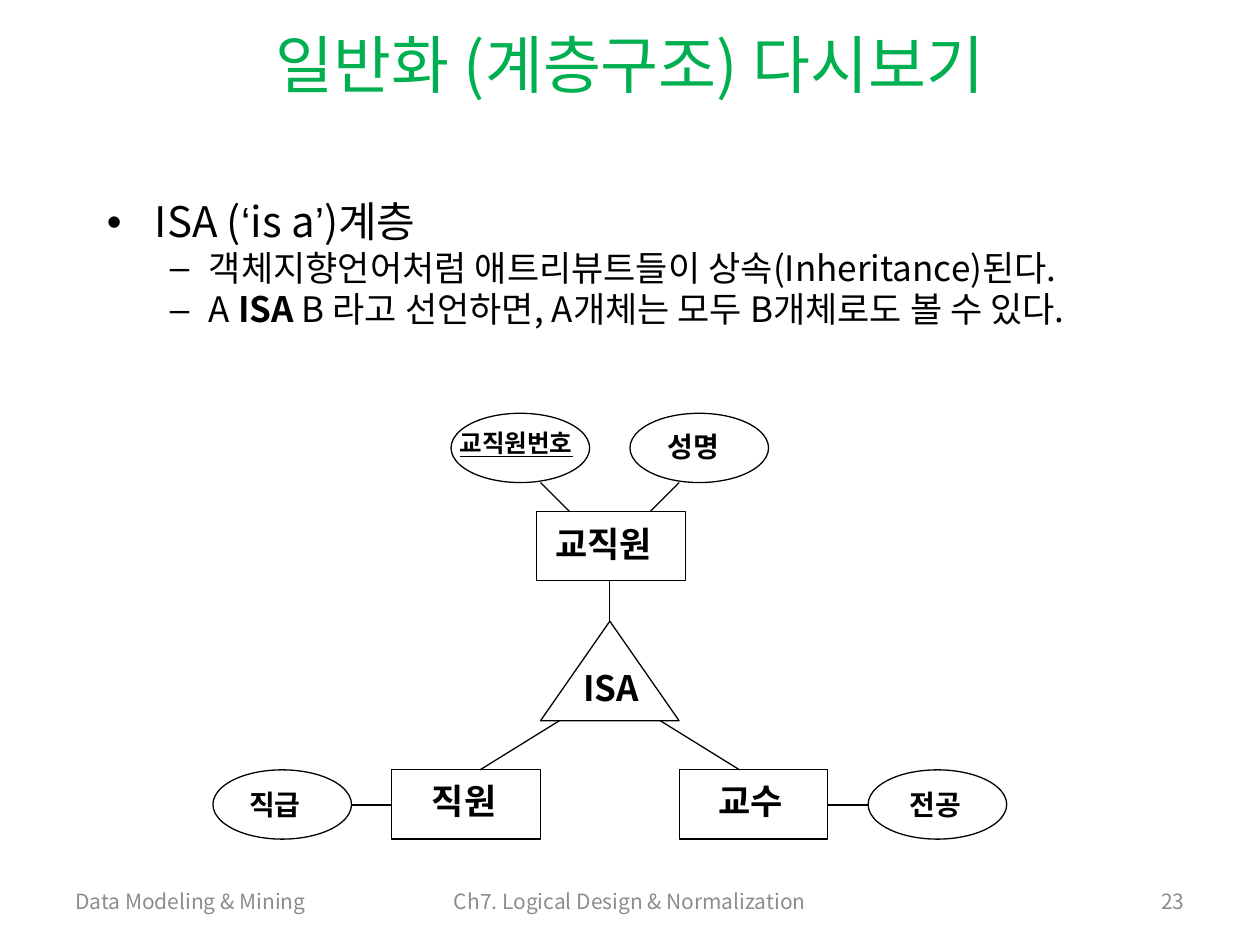
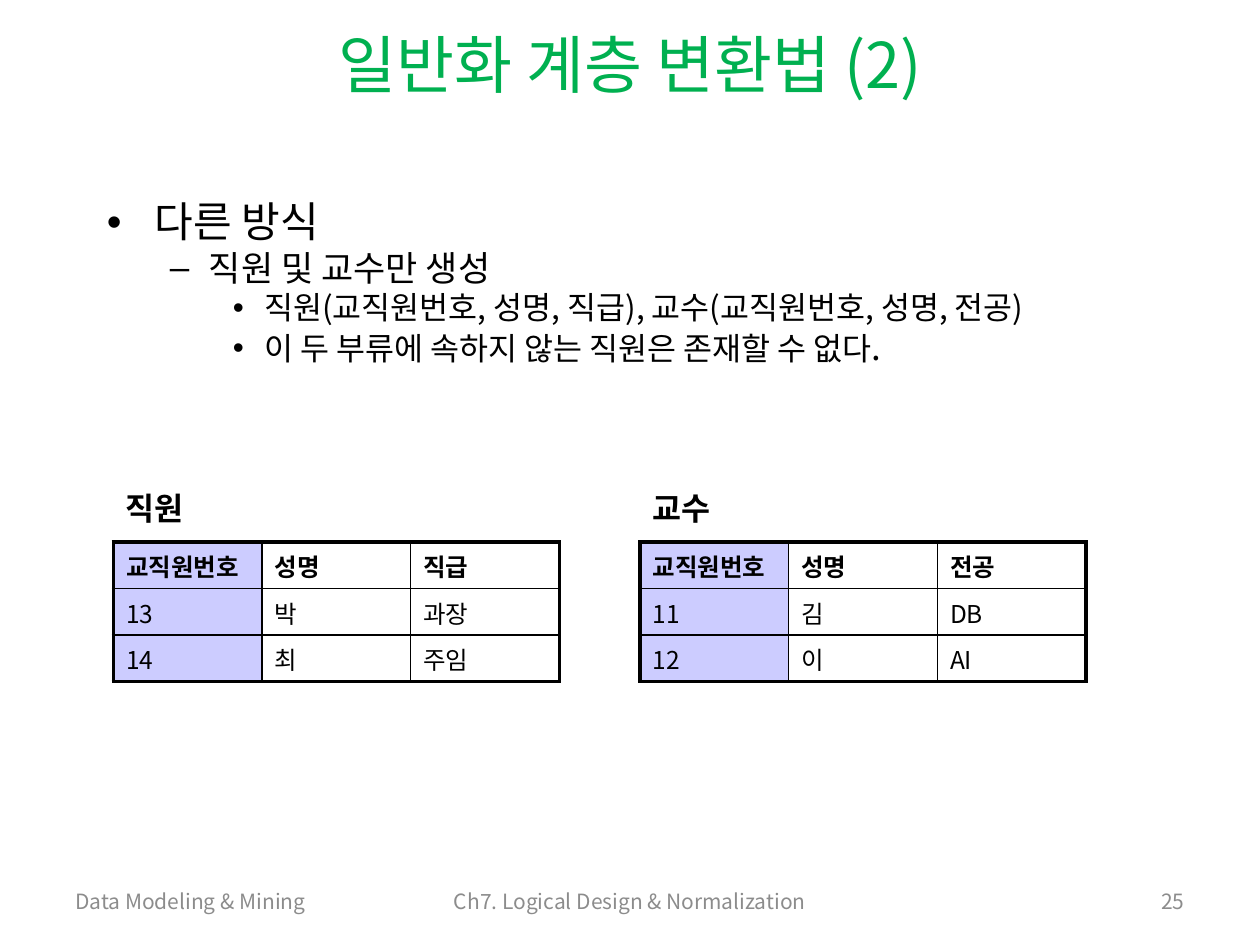
from dataclasses import dataclass
from typing import NamedTuple

from lxml import etree
from pptx import Presentation
from pptx.dml.color import RGBColor
from pptx.enum.shapes import MSO_CONNECTOR, MSO_SHAPE
from pptx.enum.text import MSO_ANCHOR, MSO_AUTO_SIZE, PP_ALIGN
from pptx.oxml.ns import qn
from pptx.util import Inches, Pt

# Shared style
FONT = "Noto Sans CJK KR"
BLACK, GREEN, GRAY, LILAC = "000000", "00B050", "8C8C8C", "CCCCFF"
THIN, THICK = 1, 2.25


class Box(NamedTuple):
    left: float
    top: float
    width: float
    height: float


class Run(NamedTuple):
    text: str
    font: str = ""
    size: float = 0
    bold: bool = False


class Level(NamedTuple):
    margin: float
    hanging: float
    bullet: str
    size: float


class Bullet(NamedTuple):
    level: int
    runs: list[Run]


@dataclass
class Node:
    shape: MSO_SHAPE
    box: Box
    text: str
    label: Box
    size: float
    underline: bool = False


@dataclass
class Relation:
    name: str
    left: float
    rows: list[list[str]]


LEVELS = [
    Level(0.38, 0.38, "•", 24),
    Level(0.81, 0.31, "–", 20),
    Level(1.25, 0.25, "•", 18),
]


def color(value: str) -> RGBColor:
    return RGBColor.from_string(value)


def style(p, size: float, fill: str = BLACK, bold: bool = False,
          underline: bool = False) -> None:
    """Set one paragraph's font, for Latin and Korean letters alike."""
    font = p.font
    font.size, font.bold, font.underline = Pt(size), bold, underline
    font.color.rgb = color(fill)
    font.name = FONT
    props = p._p.get_or_add_pPr().find(qn("a:defRPr"))
    etree.SubElement(props, qn("a:ea")).set("typeface", FONT)


def add_text(shapes, box: Box, text: str, size: float, fill: str = BLACK,
             bold: bool = False, underline: bool = False,
             align=PP_ALIGN.LEFT, anchor=MSO_ANCHOR.TOP,
             wrap: bool = True) -> None:
    tf = shapes.add_textbox(*map(Inches, box)).text_frame
    tf.word_wrap, tf.vertical_anchor = wrap, anchor
    tf.auto_size = MSO_AUTO_SIZE.NONE
    p = tf.paragraphs[0]
    p.text, p.alignment = text, align
    style(p, size, fill, bold, underline)


def add_frame(prs, title: str, number: int):
    """Start a slide with its title and footers."""
    slide = prs.slides.add_slide(prs.slide_layouts[6])
    footers = [
        (Box(0.5, 6.95, 2.14, 0.4), "Data Modeling & Mining", PP_ALIGN.LEFT),
        (Box(2.99, 6.95, 4.02, 0.4), "Ch7. Logical Design & Normalization",
         PP_ALIGN.CENTER),
        (Box(8.86, 6.95, 0.64, 0.4), str(number), PP_ALIGN.RIGHT),
    ]
    for box, text, align in footers:
        add_text(slide.shapes, box, text, 12, GRAY, align=align,
                 anchor=MSO_ANCHOR.MIDDLE)
    add_text(slide.shapes, Box(0.5, 0.16, 9, 0.68), title, 36, GREEN,
             align=PP_ALIGN.CENTER, anchor=MSO_ANCHOR.MIDDLE)
    return slide


def add_bullets(slide, bullets: list[Bullet]) -> None:
    box = Box(0.75, 1.55, 8.5, 5.12)
    tf = slide.shapes.add_textbox(*map(Inches, box)).text_frame
    tf.word_wrap = True
    for i, bullet in enumerate(bullets):
        p = tf.add_paragraph() if i else tf.paragraphs[0]
        level = LEVELS[bullet.level]
        p.level = bullet.level
        p.line_spacing = 0.9
        if i:
            p.space_before = Pt(2.3)
        props = p._p.get_or_add_pPr()
        props.set("marL", str(Inches(level.margin)))
        props.set("indent", str(-Inches(level.hanging)))
        etree.SubElement(props, qn("a:buFont")).set("typeface", "Arial")
        etree.SubElement(props, qn("a:buChar")).set("char", level.bullet)
        style(p, level.size)
        for part in bullet.runs:
            r = p.add_run()
            r.text = part.text
            if part.font:
                r.font.name = part.font
            if part.size:
                r.font.size = Pt(part.size)
            if part.bold:
                r.font.bold = True


def add_node(shapes, node: Node) -> None:
    sp = shapes.add_shape(node.shape, *map(Inches, node.box))
    sp.shadow.inherit = False
    sp.fill.background()
    sp.line.color.rgb, sp.line.width = color(BLACK), Pt(0.75)
    add_text(shapes, node.label, node.text, node.size, bold=True,
             underline=node.underline)


def add_line(shapes, x1: float, y1: float, x2: float, y2: float) -> None:
    line = shapes.add_connector(MSO_CONNECTOR.STRAIGHT,
                                *map(Inches, (x1, y1, x2, y2)))
    line.line.color.rgb, line.line.width = color(BLACK), Pt(0.75)
    etree.SubElement(line._element.spPr, qn("a:effectLst"))


def add_border(cell, side: str, width: float) -> None:
    props = cell._tc.get_or_add_tcPr()
    ln = etree.SubElement(props, qn(f"a:ln{side}"), w=str(Pt(width)))
    fill = etree.SubElement(ln, qn("a:solidFill"))
    etree.SubElement(fill, qn("a:srgbClr")).set("val", BLACK)


def add_relation(slide, relation: Relation) -> None:
    """Draw a named table: lilac key column, thick outer border."""
    rows, cols = len(relation.rows), len(relation.rows[0])
    box = Box(relation.left, 4.3, 1.18 * cols, 0.37 * rows)
    table = slide.shapes.add_table(rows, cols, *map(Inches, box)).table
    table.first_row = table.horz_banding = False
    for i, values in enumerate(relation.rows):
        for j, value in enumerate(values):
            cell = table.cell(i, j)
            outer = {"L": j == 0, "R": j == cols - 1,
                     "T": i == 0, "B": i == rows - 1}
            for side, is_outer in outer.items():
                add_border(cell, side, THICK if is_outer else THIN)
            if j == 0:
                cell.fill.solid()
                cell.fill.fore_color.rgb = color(LILAC)
            else:
                cell.fill.background()
            p = cell.text_frame.paragraphs[0]
            p.text = value
            style(p, 14, bold=i == 0)
    add_text(slide.shapes, Box(relation.left, 3.83, 0.69, 0.4),
             relation.name, 18, bold=True, wrap=False)


def build_isa_slide(prs) -> None:
    slide = add_frame(prs, "일반화 (계층구조) 다시보기", 23)

    # Entities, attributes and the ISA triangle
    def entity(left: float, top: float, text: str, label: Box) -> Node:
        return Node(MSO_SHAPE.RECTANGLE, Box(left, top, 1.18, 0.55),
                    text, label, 20)

    def attribute(left: float, top: float, text: str, label: Box,
                  key: bool = False) -> Node:
        return Node(MSO_SHAPE.OVAL, Box(left, top, 1.1, 0.55),
                    text, label, 14 if key else 16, key)

    nodes = [
        entity(4.26, 4.06, "교직원", Box(4.31, 4.1, 1.02, 0.43)),
        attribute(3.58, 3.28, "교직원번호", Box(3.55, 3.35, 1.34, 0.33), True),
        attribute(5, 3.28, "성명", Box(5.2, 3.36, 0.79, 0.37)),
        Node(MSO_SHAPE.ISOSCELES_TRIANGLE, Box(4.29, 4.93, 1.1, 0.79),
             "ISA", Box(4.53, 5.24, 1.02, 0.43), 20),
        entity(3.11, 6.11, "직원", Box(3.33, 6.14, 1.02, 0.43)),
        entity(5.39, 6.11, "교수", Box(5.6, 6.14, 1.02, 0.43)),
        attribute(1.69, 6.11, "직급", Box(1.88, 6.2, 1.03, 0.37)),
        attribute(6.89, 6.11, "전공", Box(7.12, 6.2, 0.71, 0.37)),
    ]
    diagram = slide.shapes.add_group_shape().shapes
    for node in nodes:
        add_node(diagram, node)

    # Links, mirrored about the diagram's axis
    axis = 4.84
    add_line(diagram, axis, 4.61, axis, 4.93)
    halves = [(1.73, 6.39, 2.05, 6.39), (0.4, 5.72, 1.03, 6.11),
              (0.32, 4.06, 0.55, 3.83)]
    for dx1, y1, dx2, y2 in halves:
        for side in (-1, 1):
            add_line(diagram, axis + side * dx1, y1, axis + side * dx2, y2)

    add_bullets(slide, [
        Bullet(0, [Run("ISA ("), Run("‘", "Arial"), Run("is a"),
                   Run("’", "Arial"), Run(")계층")]),
        Bullet(1, [Run("객체지향언어처럼 애트리뷰트들이 상속(Inheritance)된다.")]),
        Bullet(1, [Run("A "), Run("ISA", bold=True),
                   Run(" B 라고 선언하면, A개체는 모두 B개체로도 볼 수 있다.")]),
    ])


def build_conversion_slide(prs) -> None:
    slide = add_frame(prs, "일반화 계층 변환법 (2)", 25)
    add_bullets(slide, [
        Bullet(0, [Run("다른 방식")]),
        Bullet(1, [Run("직원 및 교수만 생성")]),
        Bullet(2, [Run("직원(교직원번호, 성명, 직급), 교수(교직원번호, 성명, 전공)")]),
        Bullet(2, [Run("이 두 부류에 속하지 않는 직원은 존재할 수 없다"),
                   Run(".", size=20)]),
    ])
    relations = [
        Relation("직원", 0.9, [["교직원번호", "성명", "직급"],
                             ["13", "박", "과장"], ["14", "최", "주임"]]),
        Relation("교수", 5.08, [["교직원번호", "성명", "전공"],
                              ["11", "김", "DB"], ["12", "이", "AI"]]),
    ]
    for relation in relations:
        add_relation(slide, relation)


def main() -> None:
    prs = Presentation()
    prs.slide_width, prs.slide_height = Inches(10), Inches(7.5)
    build_isa_slide(prs)
    build_conversion_slide(prs)
    prs.save("out.pptx")


if __name__ == "__main__":
    main()
